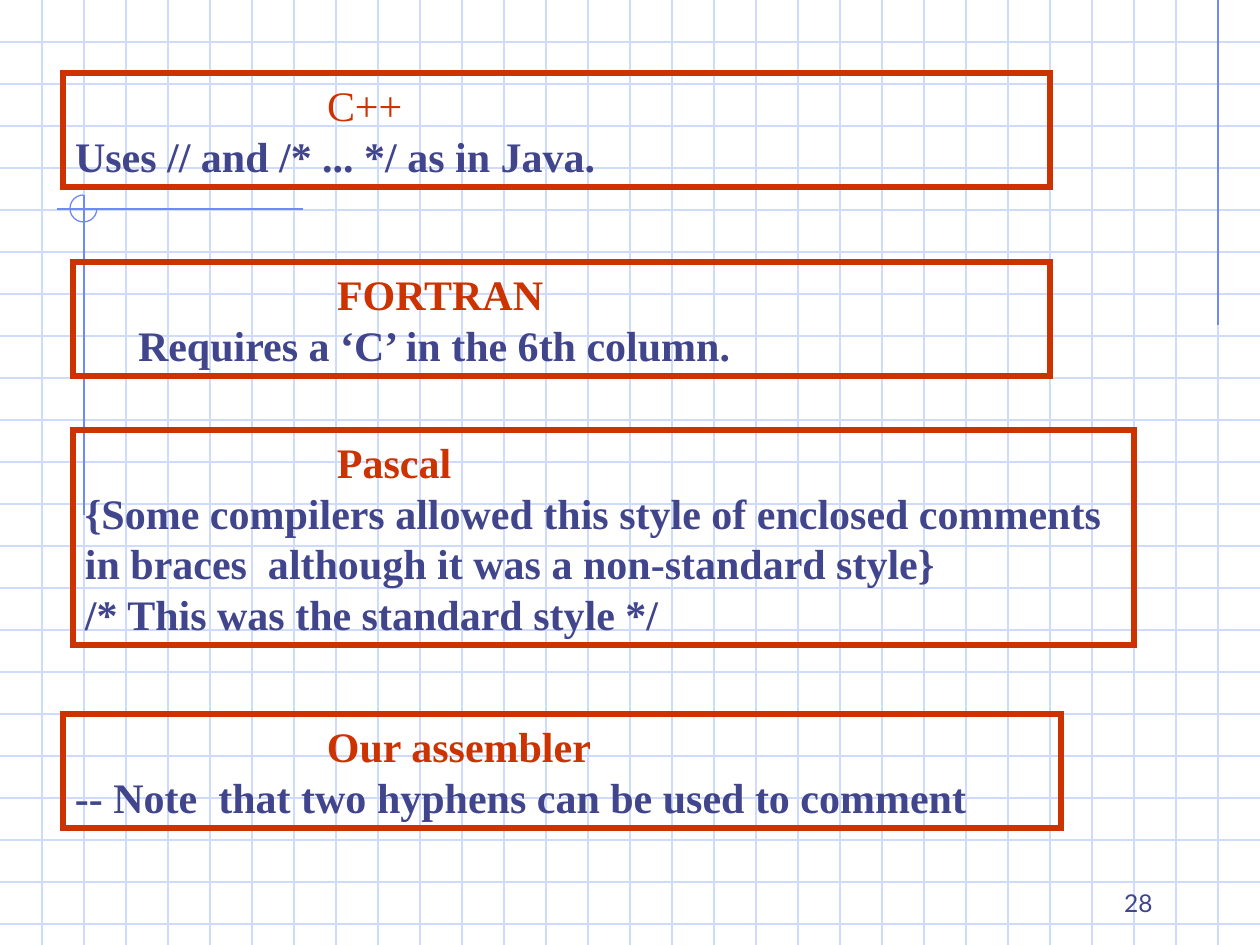
from lxml import etree
from pptx import Presentation, util as u
from pptx.dml.color import RGBColor
from pptx.enum import shapes, text
from pptx.oxml.ns import qn

PX = u.Inches(1) / 126
THEME = {
    "grid": RGBColor.from_string("CFDBFD"),
    "accent": RGBColor.from_string("6F89F7"),
    "red": RGBColor.from_string("CC3300"),
    "ink": RGBColor.from_string("40458C"),
    "body_font": "Times New Roman",
    "number_font": "Lato",
    "body_size": u.Pt(24),
    "number_size": u.Pt(14),
    "leading": u.Pt(28.8),
    "thin": u.Pt(0.75),
    "thick": u.Pt(3),
}
WIDTH, HEIGHT, STEP = 1260, 945, 42
HEADING_INDENT = 252


def px(*values):
    return [round(v * PX) for v in values]


def add_text(p, content, **fmt):
    r = p.add_run()
    r.text = content
    r.font.color.rgb = fmt.pop("color")
    for name, value in fmt.items():
        setattr(r.font, name, value)


prs = Presentation()
prs.slide_width, prs.slide_height = px(WIDTH, HEIGHT)
s = prs.slides.add_slide(prs.slide_layouts[6])

lines = [(0, y, WIDTH, y, "grid") for y in range(STEP, HEIGHT, STEP)]
lines += [(x, 0, x, HEIGHT, "grid") for x in range(STEP, WIDTH, STEP)]
lines += [
    (1218, 0, 1218, 325, "accent"),
    (303, 209, 57, 209, "accent"),
    (84, 195, 84, 515, "accent"),
]
for x1, y1, x2, y2, color in lines:
    line = s.shapes.add_connector(shapes.MSO_CONNECTOR.STRAIGHT, *px(x1, y1, x2, y2))
    line.line.color.rgb = THEME[color]
    line.line.width = THEME["thin"]
    etree.SubElement(line._element.spPr, qn("a:effectLst"))

arc = s.shapes.add_shape(shapes.MSO_SHAPE.ARC, *px(70, 195, 27, 27))
arc.adjustments[0], arc.adjustments[1] = 0, 162
arc.shadow.inherit = False
arc.fill.background()
arc.line.color.rgb = THEME["accent"]
arc.line.width = THEME["thin"]

boxes = [
    ((73, 262, 977, 114), "FORTRAN", True, 53,
     ["Requires a ‘C’ in the 6th column."]),
    ((73, 430, 1061, 215), "Pascal", True, 0,
     ["{Some compilers allowed this style of enclosed comments in braces  "
      "although it was a non-standard style}",
      "/* This was the standard style */"]),
    ((63, 714, 998, 114), "Our assembler", True, 0,
     ["-- Note  that two hyphens can be used to comment"]),
    ((63, 73, 987, 114), "C++", False, 0,
     ["Uses // and /* ... */ as in Java."]),
]
for place, heading, heading_bold, body_indent, body in boxes:
    sp = s.shapes.add_shape(shapes.MSO_SHAPE.RECTANGLE, *px(*place))
    sp.shadow.inherit = False
    sp.fill.background()
    sp.line.color.rgb = THEME["red"]
    sp.line.width = THEME["thick"]
    etree.SubElement(sp._element.spPr.find(qn("a:ln")), qn("a:miter"), lim="800000")
    tf = sp.text_frame
    left, top, right, bottom = px(12, 7, 12, 0)
    frame = {
        "word_wrap": True, "vertical_anchor": text.MSO_ANCHOR.TOP,
        "margin_left": left, "margin_top": top,
        "margin_right": right, "margin_bottom": bottom,
    }
    for name, value in frame.items():
        setattr(tf, name, value)
    rows = [(heading, "red", heading_bold, HEADING_INDENT)]
    rows += [(content, "ink", True, body_indent) for content in body]
    for i, (content, color, bold, indent) in enumerate(rows):
        p = tf.add_paragraph() if i else tf.paragraphs[0]
        p.alignment = text.PP_ALIGN.LEFT
        p.line_spacing = THEME["leading"]
        p._p.get_or_add_pPr().set("marL", str(px(indent)[0]))
        add_text(p, content, color=THEME[color], bold=bold,
                 name=THEME["body_font"], size=THEME["body_size"])

number = s.shapes.add_textbox(*px(903, 861, 262, 63))
tf = number.text_frame
tf.word_wrap = True
tf.vertical_anchor = text.MSO_ANCHOR.BOTTOM
p = tf.paragraphs[0]
p.alignment = text.PP_ALIGN.RIGHT
add_text(p, "28", color=THEME["ink"], name=THEME["number_font"], size=THEME["number_size"])

prs.save("out.pptx")
